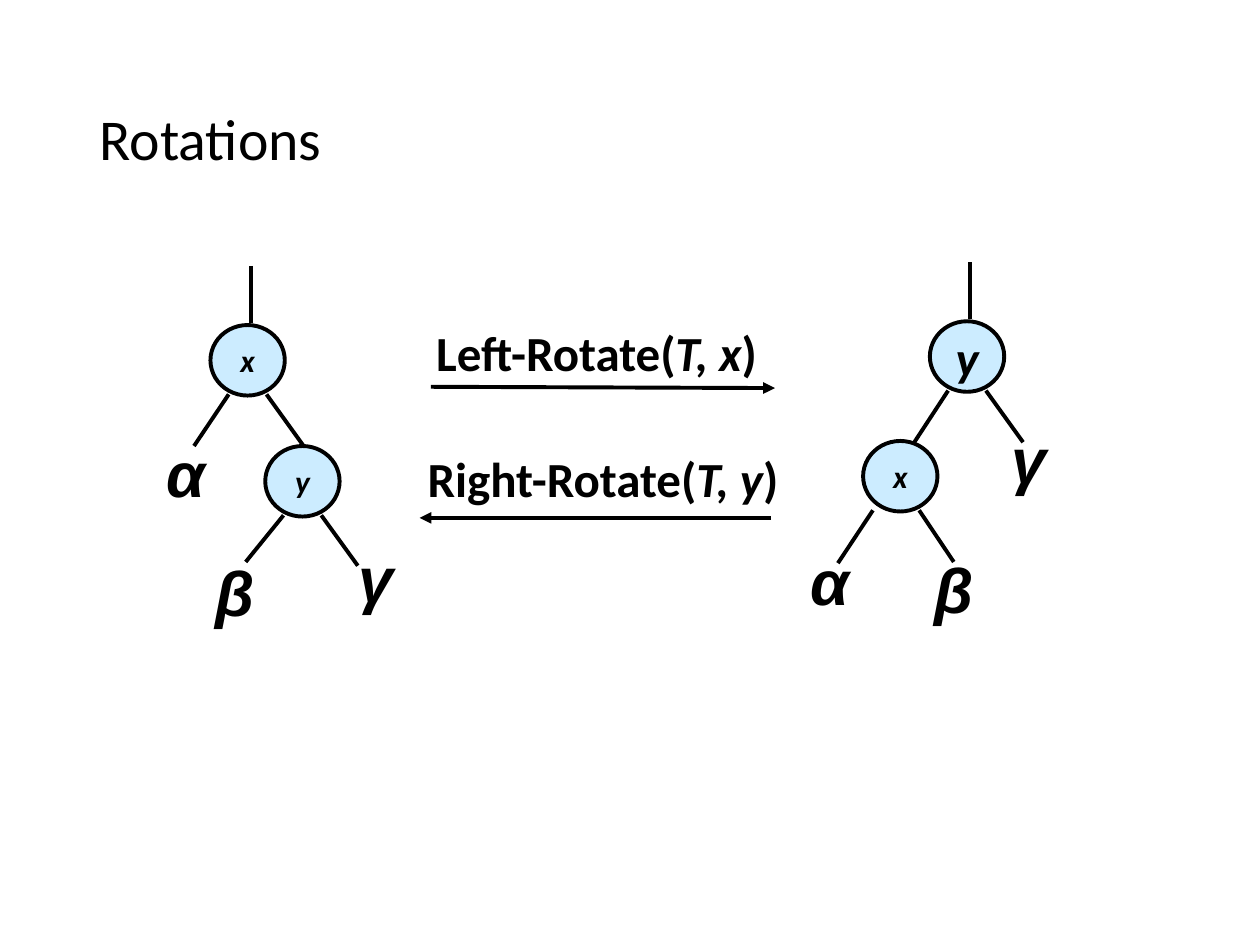
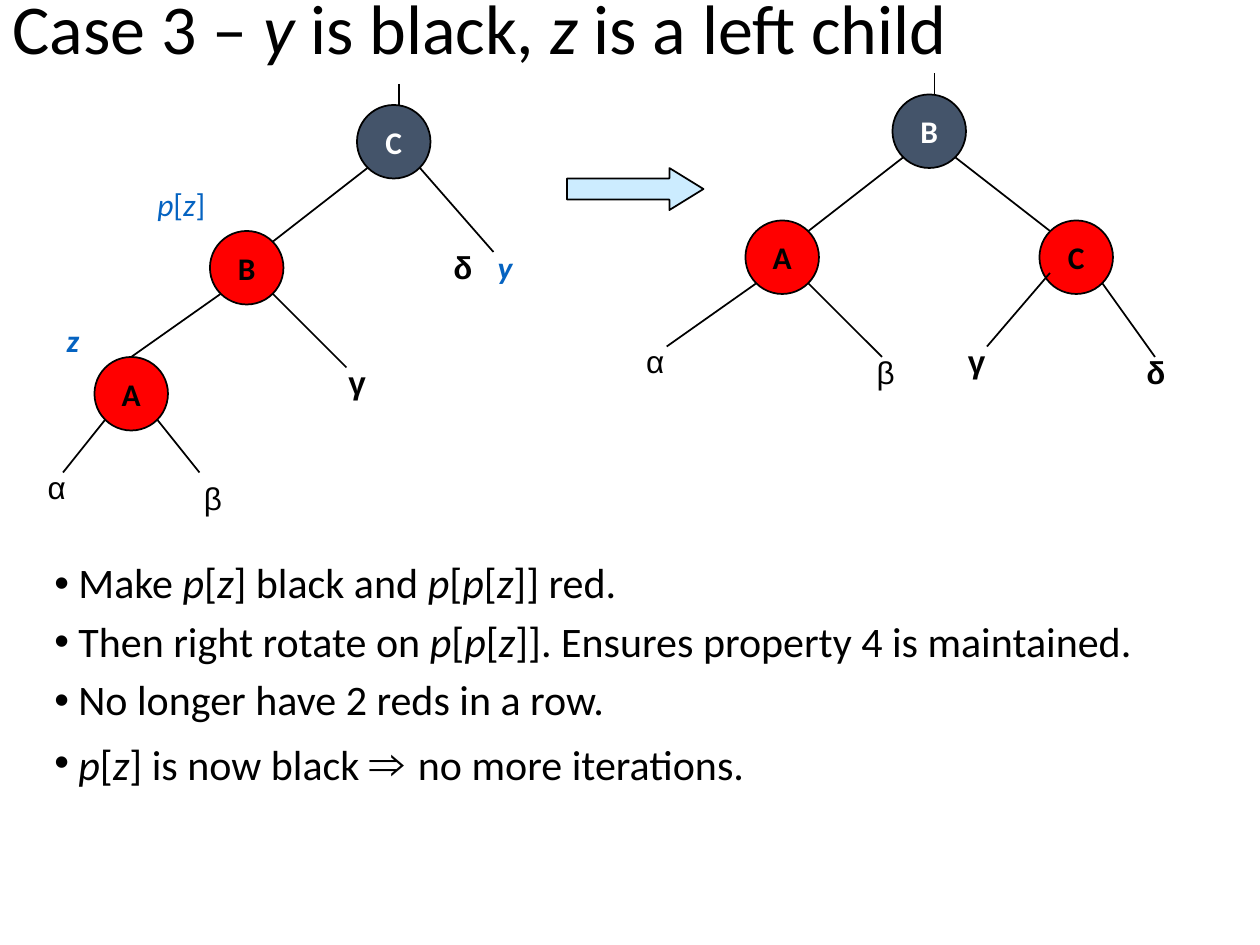
from dataclasses import dataclass

from lxml.etree import SubElement
from pptx import Presentation
from pptx.dml.color import RGBColor
from pptx.enum.shapes import MSO_CONNECTOR, MSO_SHAPE
from pptx.enum.text import MSO_ANCHOR, MSO_AUTO_SIZE, PP_ALIGN
from pptx.oxml.ns import qn
from pptx.util import Inches, Pt

# Grid: 120 columns by 90 rows, so both are a twelfth of an inch
CELL = Inches(10) / 120
COLUMNS, ROWS = 120, 90

BLACK, WHITE = "000000", "FFFFFF"
PALE_BLUE, SLATE, RED, LINK_BLUE = "CCECFF", "44546A", "FF0000", "0563C1"
BODY_FONT, SYMBOL_FONT = "Calibri", "Arial"

Point = tuple[float, float]


@dataclass(frozen=True)
class TreeStyle:
    width: float
    height: float
    line_width: float
    leg_column: float  # where legs leave a node, from its centre
    leg_row: float
    stem_column: float  # stem above a root, from its centre
    stem_top: float
    stem_bottom: float
    italic: bool


@dataclass(frozen=True)
class Node:
    text: str
    column: float
    row: float
    left_end: Point
    right_end: Point
    fill: str
    color: str = BLACK
    size: float = 18
    root: bool = False
    left_shift: Point = (0, 0)


@dataclass(frozen=True)
class Label:
    text: str
    left: float
    top: float
    width: float
    height: float = 4.8
    size: float = 18
    font: str = SYMBOL_FONT
    color: str = BLACK
    bold: bool = False
    centered: bool = False


@dataclass(frozen=True)
class Link:
    start: Point
    end: Point
    width: float
    arrow: bool = False


def cells(count: float) -> int:
    return round(count * CELL)


def rgb(value: str) -> RGBColor:
    return RGBColor.from_string(value)


# Text: *...* marks italic spans, ^...^ marks larger symbols
def write(para, text: str, *, size: float, font: str = BODY_FONT, color: str = BLACK,
          bold: bool = False, align=PP_ALIGN.LEFT, spacing: float = 1.0) -> None:
    para.alignment = align
    para.line_spacing = spacing
    for symbol_index, section in enumerate(text.split("^")):
        symbol = symbol_index % 2 == 1
        for italic_index, words in enumerate(section.split("*")):
            if not words:
                continue
            span = para.add_run()
            span.text = words
            span.font.name = SYMBOL_FONT if symbol else font
            span.font.size = Pt(size + 4 if symbol else size)
            span.font.bold = bold
            span.font.italic = italic_index % 2 == 1
            span.font.color.rgb = rgb(color)


def add_title(page, text: str, left: float, top: float, width: float, height: float,
              size: float) -> None:
    title = page.shapes.title
    title.left, title.top = cells(left), cells(top)
    title.width, title.height = cells(width), cells(height)
    frame = title.text_frame
    frame.word_wrap = True
    frame.auto_size = MSO_AUTO_SIZE.NONE
    frame.vertical_anchor = MSO_ANCHOR.MIDDLE
    write(frame.paragraphs[0], text, size=size, spacing=0.9)


def add_label(page, label: Label) -> None:
    box = page.shapes.add_textbox(cells(label.left), cells(label.top),
                                  cells(label.width), cells(label.height))
    frame = box.text_frame
    frame.word_wrap = False
    frame.vertical_anchor = MSO_ANCHOR.MIDDLE if label.centered else MSO_ANCHOR.TOP
    write(frame.paragraphs[0], label.text, size=label.size, font=label.font,
          color=label.color, bold=label.bold,
          align=PP_ALIGN.CENTER if label.centered else PP_ALIGN.LEFT)


def add_link(page, link: Link) -> None:
    line = page.shapes.add_connector(MSO_CONNECTOR.STRAIGHT,
                                     *map(cells, link.start + link.end))
    line.line.color.rgb = rgb(BLACK)
    line.line.width = Pt(link.width)
    if link.arrow:
        SubElement(line.line._get_or_add_ln(), qn("a:tailEnd"), type="triangle")
    SubElement(line._element.spPr, qn("a:effectLst"))


def add_filled(page, kind, left: float, top: float, width: float, height: float,
               fill: str, line_width: float):
    shape = page.shapes.add_shape(kind, cells(left), cells(top), cells(width), cells(height))
    shape.shadow.inherit = False
    shape.fill.solid()
    shape.fill.fore_color.rgb = rgb(fill)
    shape.line.color.rgb = rgb(BLACK)
    shape.line.width = Pt(line_width)
    return shape


def add_node(page, node: Node, style: TreeStyle) -> None:
    circle = add_filled(page, MSO_SHAPE.OVAL, node.column - style.width / 2,
                        node.row - style.height / 2, style.width, style.height,
                        node.fill, style.line_width)
    frame = circle.text_frame
    frame.word_wrap = False
    frame.vertical_anchor = MSO_ANCHOR.MIDDLE
    text = f"*{node.text}*" if style.italic else node.text
    write(frame.paragraphs[0], text, size=node.size, color=node.color, bold=True,
          align=PP_ALIGN.CENTER)

    leg_row = node.row + style.leg_row
    shift_column, shift_row = node.left_shift
    left_start = (node.column - style.leg_column + shift_column, leg_row + shift_row)
    right_start = (node.column + style.leg_column, leg_row)
    add_link(page, Link(left_start, node.left_end, style.line_width))
    add_link(page, Link(right_start, node.right_end, style.line_width))
    if node.root:
        stem = node.column + style.stem_column
        add_link(page, Link((stem, node.row + style.stem_top),
                            (stem, node.row + style.stem_bottom), style.line_width))


def add_bullets(page, lines: list[str], left: float, top: float, width: float,
                height: float) -> None:
    box = page.shapes.add_textbox(cells(left), cells(top), cells(width), cells(height))
    frame = box.text_frame
    frame.word_wrap = True
    for index, text in enumerate(lines):
        para = frame.add_paragraph() if index else frame.paragraphs[0]
        write(para, text, size=24, spacing=0.9)
        para.space_before = Pt(7.5)
        properties = para._p.get_or_add_pPr()
        indent = Inches(0.19)
        properties.set("marL", str(indent))
        properties.set("indent", str(-indent))
        SubElement(properties, qn("a:buFont"), typeface=SYMBOL_FONT)
        SubElement(properties, qn("a:buChar"), char="•")


# Slide 1: the two rotations
ROTATION_STYLE = TreeStyle(7.08, 6.72, 2.25, 1.8, 3.24, 0.3, -9, -3.6, italic=True)
ROTATION_NODES = [
    Node("y", 92.1, 33.96, (87, 42.24), (97.44, 42.12), PALE_BLUE, size=28, root=True),
    Node("x", 85.74, 45.36, (79.8, 53.64), (90.84, 53.52), PALE_BLUE, left_shift=(-0.8, 0)),
    Node("x", 23.58, 34.32, (18.48, 42.48), (28.92, 42.48), PALE_BLUE, root=True),
    Node("y", 28.8, 45.84, (23.4, 53.52), (34.08, 53.88), PALE_BLUE),
]
# Subtree letter, then the column and row of its centre
SUBTREES = [("α", 79.02, 55.32), ("β", 90.9, 56.04), ("γ", 97.98, 43.68),
            ("α", 17.7, 45), ("β", 22.38, 56.28), ("γ", 35.82, 54.96)]
ROTATION_LABELS = [
    Label("Left-Rotate(*T, x*)", 39.96, 30.12, 33.72, 6.84, 28, BODY_FONT,
          bold=True, centered=True),
    Label("Right-Rotate(*T, y*)", 39.12, 42.12, 36.6, 6.84, 28, BODY_FONT,
          bold=True, centered=True),
]
ROTATION_ARROWS = [Link((41.04, 36.84), (73.8, 36.96), 2.25, arrow=True),
                   Link((73.44, 49.32), (39.96, 49.32), 2.25, arrow=True)]


def build_rotations(page) -> None:
    add_title(page, "Rotations", 8.28, 4.8, 103.56, 17.4, 33)
    for node in ROTATION_NODES:
        add_node(page, node, ROTATION_STYLE)
    width, height = 7.08, 8.4
    for letter, column, row in SUBTREES:
        add_label(page, Label(f"*{letter}*", column - width / 2, row - height / 2,
                              width, height, 36, bold=True, centered=True))
    for label in ROTATION_LABELS:
        add_label(page, label)
    for arrow in ROTATION_ARROWS:
        add_link(page, arrow)


# Slide 2: recolouring and right rotation
CASE_STYLE = TreeStyle(7, 7, 1, 2.5, 2.5, 0.5, -5.5, -3.5, italic=False)
CASE_NODES = [
    Node("C", 37.5, 13.5, (26, 23), (47, 24), SLATE, WHITE, root=True),
    Node("B", 23.5, 25.5, (12.5, 34), (33, 35), RED),
    Node("A", 12.5, 37.5, (6, 45), (19, 45), RED),
    Node("B", 88.5, 12.5, (77, 22), (100, 22), SLATE, WHITE, root=True),
    Node("A", 74.5, 24.5, (63.5, 33), (84, 34), RED),
    Node("C", 102.5, 24.5, (94, 33), (110, 34), RED, left_shift=(0, -1)),
]
CASE_LABELS = [
    Label("α", 3.36, 44, 4.32),
    Label("β", 18.24, 45, 4.08),
    Label("γ", 32, 34, 5, bold=True),
    Label("δ", 42, 23, 4.5, bold=True),
    Label("α", 60.36, 32, 4.32),
    Label("β", 82.32, 33, 4.08),
    Label("γ", 91, 32, 5, bold=True),
    Label("δ", 108, 33, 4.5, bold=True),
    Label("*y*", 46.2, 23, 3.84, font=BODY_FONT, color=LINK_BLUE, bold=True),
    Label("*z*", 5.16, 30, 3.6, font=BODY_FONT, color=LINK_BLUE, bold=True),
    Label("*p*[*z*]", 13.8, 17, 6.96, font=BODY_FONT, color=LINK_BLUE),
]
CASE_STEPS = [
    "Make *p*[*z*] black and *p*[*p*[*z*]] red.",
    "Then right rotate on *p*[*p*[*z*]]. Ensures property 4 is maintained.",
    "No longer have 2 reds in a row.",
    "*p*[*z*] is now black ^⇒ ^no more iterations.",
]


def build_case(page) -> None:
    add_title(page, "Case 3 – *y *is black, *z* is a left child", 0, -3, COLUMNS, 12, 40)
    add_bullets(page, CASE_STEPS, 4, 53, 111, 32)
    arrow = add_filled(page, MSO_SHAPE.RIGHT_ARROW, 54, 16, 13, 4, PALE_BLUE, 1)
    arrow.adjustments[1] = 0.81
    for node in CASE_NODES:
        add_node(page, node, CASE_STYLE)
    for label in CASE_LABELS:
        add_label(page, label)


def main() -> None:
    deck = Presentation()
    deck.slide_width, deck.slide_height = cells(COLUMNS), cells(ROWS)
    title_only = deck.slide_layouts[5]
    for build in (build_rotations, build_case):
        build(deck.slides.add_slide(title_only))
    deck.save("out.pptx")


if __name__ == "__main__":
    main()
